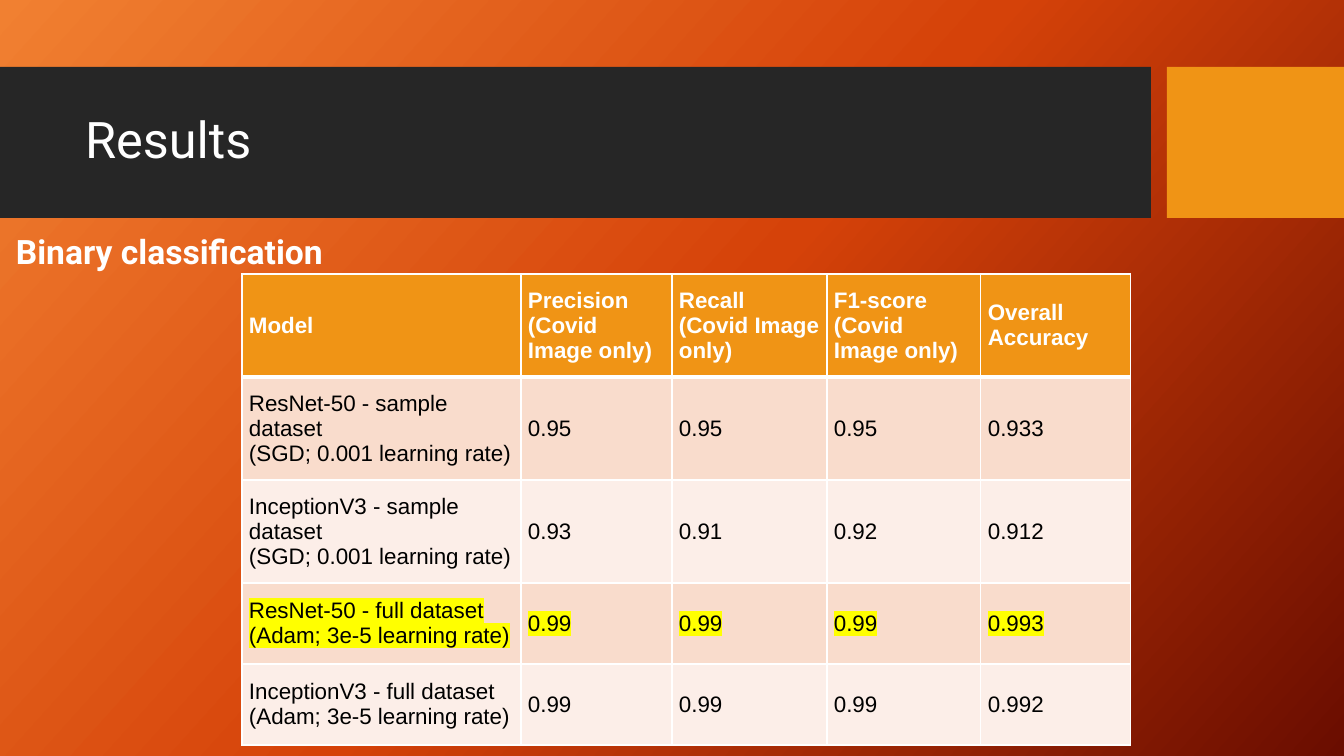
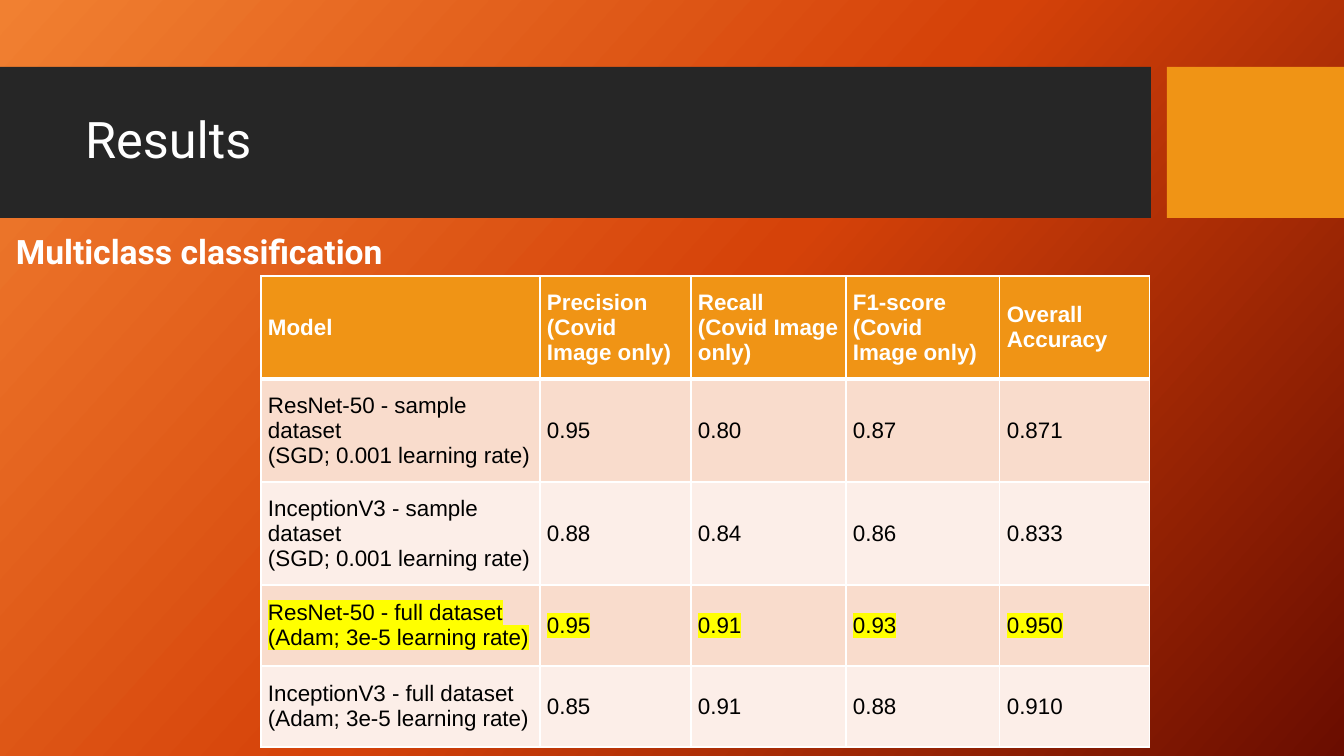
from copy import deepcopy

from pptx import Presentation
from pptx.dml.color import RGBColor
from pptx.enum.shapes import MSO_SHAPE
from pptx.enum.text import MSO_ANCHOR, MSO_AUTO_SIZE, PP_ALIGN
from pptx.oxml.ns import qn
from pptx.util import Pt
from lxml import etree

RECT = MSO_SHAPE.RECTANGLE
MIDDLE = MSO_ANCHOR.MIDDLE
LEFT = PP_ALIGN.LEFT
GROW, FIXED = MSO_AUTO_SIZE.SHAPE_TO_FIT_TEXT, MSO_AUTO_SIZE.NONE

# Content
TITLE = "Results"
HEADS = ["Model", "Precision (Covid Image only)", "Recall (Covid Image only)",
         "F1-score (Covid Image only)", "Overall Accuracy"]
MODELS = ["ResNet-50 - sample dataset\n(SGD; 0.001 learning rate)",
          "InceptionV3 - sample dataset\n(SGD; 0.001 learning rate)",
          "ResNet-50 - full dataset (Adam; 3e-5 learning rate)",
          "InceptionV3 - full dataset (Adam; 3e-5 learning rate)"]
BEST = 3  # table row to highlight
SLIDES = [
    {"label": "Binary classification", "width": 347, "corner": (242, 274),
     "scores": [("0.95", "0.95", "0.95", "0.933"),
                ("0.93", "0.91", "0.92", "0.912"),
                ("0.99", "0.99", "0.99", "0.993"),
                ("0.99", "0.99", "0.99", "0.992")]},
    {"label": "Multiclass classification", "width": 516, "corner": (261, 276),
     "scores": [("0.95", "0.80", "0.87", "0.871"),
                ("0.88", "0.84", "0.86", "0.833"),
                ("0.95", "0.91", "0.93", "0.950"),
                ("0.85", "0.91", "0.88", "0.910")]},
]

# Shared look
WHITE, BLACK, DARK, GOLD = "FFFFFF", "000000", "262626", "F09415"
TINTS = ["F9DCCC", "FCEEE8"]
MARK = "FFFF00"
GRAD = [(0, "F18031"), (0.5, "D54209"), (1, "6A0D00")]
BANDS = [((0, 67, 1151, 151), DARK), ((1167, 67, 177, 151), GOLD)]
COLS = [279, 151, 155, 154, 150]
ROWS = [103, 103, 103, 81, 81]
INSET = 7
SCALE = 914400 / 100.8


def px(n):
    return round(n * SCALE)


def box(*nums):
    return [px(n) for n in nums]


def rgb(code):
    return RGBColor.from_string(code)


def style(para, face, size, color, bold=False):
    font = para.font
    font.name, font.size, font.bold = face, Pt(size), bold
    font.color.rgb = rgb(color)


def mark(run):
    light = etree.SubElement(run.font._element, qn("a:highlight"))
    etree.SubElement(light, qn("a:srgbClr"), val=MARK)


def border(cell, side, width):
    # Borders must come before the fill in the cell properties
    props = cell._tc.get_or_add_tcPr()
    line = etree.Element(qn("a:ln" + side), w=str(Pt(width)))
    fill = etree.SubElement(line, qn("a:solidFill"))
    etree.SubElement(fill, qn("a:srgbClr"), val=WHITE)
    props.insert("LRTB".index(side), line)


def backdrop(master):
    fill = master.background.fill
    fill.gradient()
    fill.gradient_angle = 360 - 42
    stops = next(master.element.iter(qn("a:gsLst")))
    stops.append(deepcopy(stops[0]))
    for stop, (pos, color) in zip(fill.gradient_stops, GRAD):
        stop.position = pos
        stop.color.rgb = rgb(color)


def frame(slide):
    for area, color in BANDS:
        band = slide.shapes.add_shape(RECT, *box(*area))
        band.shadow.inherit = False
        band.fill.solid()
        band.fill.fore_color.rgb = rgb(color)
        band.line.fill.background()
    title = slide.shapes.title
    title.left, title.top, title.width, title.height = box(75, 83, 1059, 119)
    title.element.getparent().append(title.element)  # above the bands
    text = title.text_frame
    text.text = TITLE
    text.vertical_anchor, text.auto_size = MIDDLE, FIXED
    para = text.paragraphs[0]
    para.alignment, para.line_spacing = LEFT, 0.9
    style(para, "Roboto", 36, WHITE)


def fill_cell(cell, text, row):
    head = row == 0
    cell.text = text
    cell.vertical_anchor = MIDDLE
    cell.margin_left = cell.margin_right = px(INSET)
    cell.margin_top = cell.margin_bottom = px(INSET)
    cell.fill.solid()
    cell.fill.fore_color.rgb = rgb(GOLD if head else TINTS[(row - 1) % 2])
    for side in "LRTB":
        thick = (head and side == "B") or (row == 1 and side == "T")
        border(cell, side, 3 if thick else 1)
    for para in cell.text_frame.paragraphs:
        style(para, "Arial", 16, WHITE if head else BLACK, head)
        if row == BEST:
            mark(para.runs[0])


def add_scores(slide, corner, scores):
    grid = [HEADS] + [[name, *vals] for name, vals in zip(MODELS, scores)]
    area = box(*corner, sum(COLS), sum(ROWS))
    table = slide.shapes.add_table(len(ROWS), len(COLS), *area).table
    table.first_row = table.horz_banding = False
    for col, width in zip(table.columns, COLS):
        col.width = px(width)
    for row, height in zip(table.rows, ROWS):
        row.height = px(height)
    for r, line in enumerate(grid):
        for c, text in enumerate(line):
            fill_cell(table.cell(r, c), text, r)


def add_label(slide, label, width):
    text = slide.shapes.add_textbox(*box(6, 226, width, 50)).text_frame
    text.word_wrap, text.auto_size = True, GROW
    text.text = label
    style(text.paragraphs[0], "Roboto", 24, WHITE, True)


# Build
deck = Presentation()
deck.slide_width, deck.slide_height = box(1344, 756)
backdrop(deck.slide_master)
for item in SLIDES:
    slide = deck.slides.add_slide(deck.slide_layouts.get_by_name("Title Only"))
    frame(slide)
    add_scores(slide, item["corner"], item["scores"])
    add_label(slide, item["label"], item["width"])
deck.save("out.pptx")
